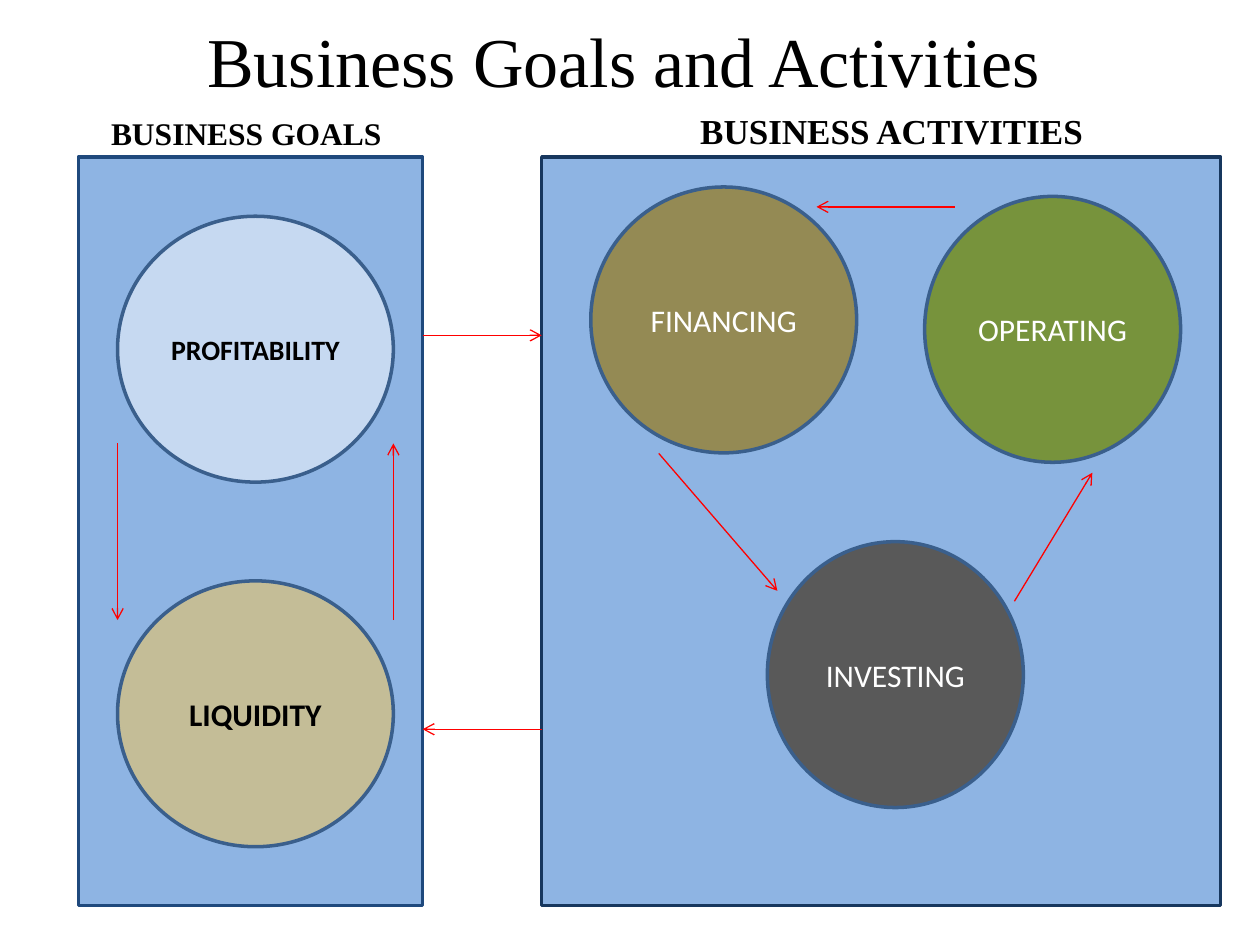
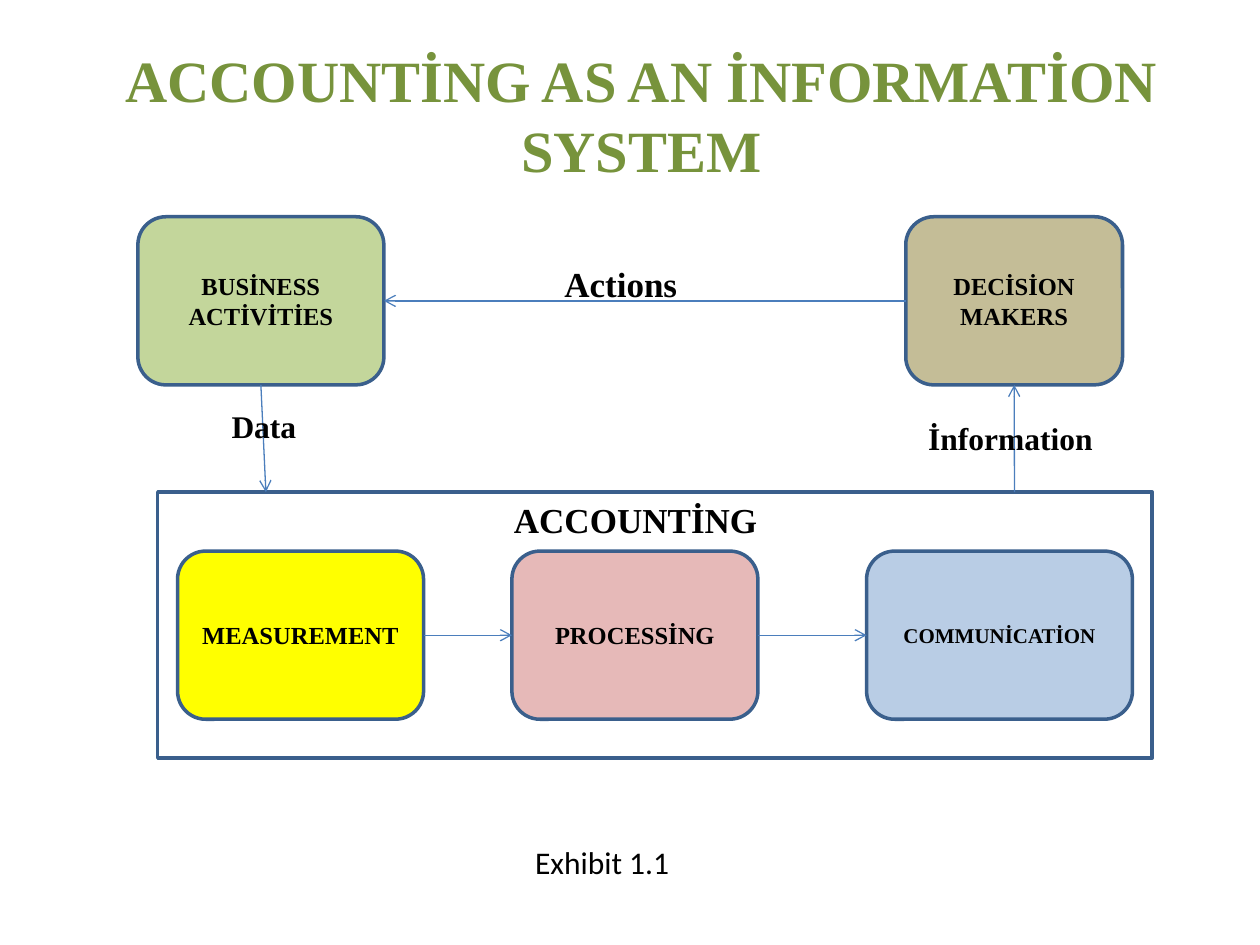
from lxml import etree
from pptx import Presentation
from pptx.dml.color import RGBColor
from pptx.enum.shapes import MSO_CONNECTOR, MSO_SHAPE
from pptx.enum.text import MSO_ANCHOR, PP_ALIGN
from pptx.oxml.ns import qn
from pptx.util import Cm, Pt

RECTANGLE = MSO_SHAPE.RECTANGLE
ROUNDED = MSO_SHAPE.ROUNDED_RECTANGLE
OVAL = MSO_SHAPE.OVAL
STRAIGHT = MSO_CONNECTOR.STRAIGHT
CENTER = PP_ALIGN.CENTER
TOP_ANCHOR, MIDDLE = MSO_ANCHOR.TOP, MSO_ANCHOR.MIDDLE
TOP, LEFT, BOTTOM, RIGHT = range(4)

SERIF, SANS = "Times New Roman", "Calibri"
BLACK = RGBColor(0x00, 0x00, 0x00)
WHITE = RGBColor(0xFF, 0xFF, 0xFF)
RED = RGBColor(0xFF, 0x00, 0x00)
YELLOW = RGBColor(0xFF, 0xFF, 0x00)
PANEL_BLUE = RGBColor(0x8E, 0xB4, 0xE3)
NAVY = RGBColor(0x1F, 0x49, 0x7D)
DARK_NAVY = RGBColor(0x17, 0x37, 0x5E)
OUTLINE = RGBColor(0x3A, 0x5F, 0x8C)
ARROW_BLUE = RGBColor(0x4B, 0x7E, 0xBC)
PALE_BLUE = RGBColor(0xC6, 0xD9, 0xF1)
SOFT_BLUE = RGBColor(0xB9, 0xCD, 0xE5)
TAN = RGBColor(0xC4, 0xBD, 0x97)
OLIVE = RGBColor(0x94, 0x8A, 0x54)
GREEN = RGBColor(0x77, 0x93, 0x3C)
PALE_GREEN = RGBColor(0xC3, 0xD6, 0x9B)
PINK = RGBColor(0xE6, 0xB9, 0xB8)
GRAY = RGBColor(0x59, 0x59, 0x59)


def write_text(frame, text, size=18, font=SERIF, color=BLACK, bold=True, anchor=MIDDLE):
    """Fill a text frame with one centred, formatted paragraph."""
    frame.vertical_anchor = anchor
    paragraph = frame.paragraphs[0]
    paragraph.alignment = CENTER
    run = paragraph.add_run()
    run.text = text
    run.font.size = Pt(size)
    run.font.name = font
    run.font.bold = bold
    run.font.color.rgb = color


def add_label(slide, box, text, wrap=True, anchor=TOP_ANCHOR, **text_format):
    """Place a text box at (left, top, width, height) in centimetres."""
    frame = slide.shapes.add_textbox(*map(Cm, box)).text_frame
    frame.word_wrap = wrap
    write_text(frame, text, anchor=anchor, **text_format)


def add_box(slide, kind, box, fill=None, line=OUTLINE, text=None, **text_format):
    """Draw an outlined shape, optionally filled and labelled."""
    shape = slide.shapes.add_shape(kind, *map(Cm, box))
    shape.shadow.inherit = False
    if fill is None:
        shape.fill.background()
    else:
        shape.fill.solid()
        shape.fill.fore_color.rgb = fill
    shape.line.color.rgb = line
    shape.line.width = Pt(2)
    if text:
        frame = shape.text_frame
        frame.word_wrap = True
        frame.margin_left = frame.margin_right = 0
        write_text(frame, text, **text_format)
    return shape


def add_arrow(slide, start=(0, 0), end=(0, 0), color=ARROW_BLUE, source=None, target=None):
    """Draw an arrow between points, or joined to (shape, side) pairs."""
    connector = slide.shapes.add_connector(STRAIGHT, *map(Cm, (*start, *end)))
    if source:
        connector.begin_connect(*source)
    if target:
        connector.end_connect(*target)
    connector.line.color.rgb = color
    connector.line.width = Pt(0.75)
    properties = connector._element.spPr
    line = properties.find(qn("a:ln"))
    etree.SubElement(line, qn("a:tailEnd"), type="arrow")
    etree.SubElement(properties, qn("a:effectLst"))


def add_panel(slide, box, line, circles, arrows):
    """Draw a blue panel whose circles and arrows are relative to its corner."""
    left, top = box[:2]
    add_box(slide, RECTANGLE, box, PANEL_BLUE, line)
    for text, x, y, width, fill, text_format in circles:
        circle_box = (left + x, top + y, width, 5.36)
        add_box(slide, OVAL, circle_box, fill, text=text, font=SANS, **text_format)
    for x1, y1, x2, y2 in arrows:
        add_arrow(slide, (left + x1, top + y1), (left + x2, top + y2), RED)


def add_goals(slide, left, top, height):
    """Draw the business goals panel with its heading."""
    circles = [
        ("PROFITABILITY", 0.79, 1.19, 5.56, PALE_BLUE, {"size": 16}),
        ("LIQUIDITY", 0.79, 8.54, 5.56, TAN, {}),
    ]
    arrows = [(0.79, 5.77, 0.79, 9.33), (6.35, 9.33, 6.35, 5.77)]
    add_panel(slide, (left, top, 6.94, height), NAVY, circles, arrows)
    add_label(slide, (left + 0.4, top - 0.99, 5.97, 1.02), "BUSINESS GOALS", wrap=False)


def add_activities(slide, left, top, height):
    """Draw the business activities panel with its heading."""
    plain = {"color": WHITE, "bold": False}
    circles = [
        ("FINANCING", 0.99, 0.6, 5.36, OLIVE, plain),
        ("OPERATING", 7.72, 0.79, 5.16, GREEN, plain),
        ("INVESTING", 4.55, 7.75, 5.16, GRAY, plain),
    ]
    arrows = [
        (2.36, 5.97, 4.75, 8.74),
        (9.53, 8.95, 11.1, 6.36),
        (8.33, 1, 5.54, 1),
    ]
    add_panel(slide, (left, top, 13.69, height), DARK_NAVY, circles, arrows)
    add_label(slide, (left + 2.57, top - 1.09, 8.97, 1.12), "BUSINESS ACTIVITIES", size=20)


def build_goals_slide(slide):
    """Show goals and activities feeding each other."""
    top, height = 3.17, 15.09
    goals_right, activities_left = 8.52, 10.92
    add_goals(slide, 1.58, top, height)
    add_activities(slide, activities_left, top, height)
    add_arrow(slide, (goals_right, 6.76), (activities_left, 6.76), RED)
    add_arrow(slide, (activities_left, 14.7), (goals_right, 14.7), RED)
    add_label(slide, (2.25, 0.23, 20.66, 1.96), "Business Goals and Activities", size=40, bold=False)


def add_accounting(slide, left, top):
    """Draw the accounting frame with its three linked steps."""
    add_box(slide, RECTANGLE, (left, top, 20.05, 5.36))
    add_label(slide, (left + 6.93, top, 5.41, 1.12), "ACCOUNTİNG", wrap=False, size=20)
    steps = [
        ("MEASUREMENT", 0.4, 4.96, YELLOW, 14),
        ("PROCESSİNG", 7.14, 4.96, PINK, 14),
        ("COMMUNİCATİON", 14.29, 5.36, SOFT_BLUE, 12),
    ]
    shapes = [
        add_box(slide, ROUNDED, (left + x, top + 1.19, width, 3.39), fill, text=text, size=size)
        for text, x, width, fill, size in steps
    ]
    for before, after in zip(shapes, shapes[1:]):
        add_arrow(slide, source=(before, RIGHT), target=(after, LEFT))


def build_system_slide(slide):
    """Show accounting between business activities and decision makers."""
    frame_top = 9.92
    activities = add_box(slide, ROUNDED, (2.78, 4.37, 4.96, 3.39), PALE_GREEN,
                         text="BUSİNESS ACTİVİTİES", size=14)
    makers = add_box(slide, ROUNDED, (18.26, 4.37, 4.37, 3.39), TAN,
                     text="DECİSİON MAKERS", size=14)
    add_accounting(slide, 3.18, frame_top)
    add_arrow(slide, source=(makers, LEFT), target=(activities, RIGHT))
    add_arrow(slide, start=(20.45, frame_top), target=(makers, BOTTOM))
    add_arrow(slide, end=(5.36, frame_top), source=(activities, BOTTOM))
    add_label(slide, (10.9, 5.16, 3.23, 1.12), "Actions", size=20)
    add_label(slide, (3.76, 8.08, 3.12, 0.91), "Data", wrap=False)
    add_label(slide, (18.45, 8.33, 3.84, 1.02), "İnformation", wrap=False)
    add_label(slide, (10.45, 16.87, 3.38, 1.02), "Exhibit 1.1", font=SANS, bold=False)
    add_label(slide, (1.5, 0.71, 22.86, 3.18), "ACCOUNTİNG AS AN İNFORMATİON SYSTEM",
              anchor=MIDDLE, size=33.4, color=GREEN)


def main():
    """Build and save the presentation."""
    presentation = Presentation()
    presentation.slide_width, presentation.slide_height = Cm(25.4), Cm(19.05)
    blank = presentation.slide_layouts[6]
    for build in (build_goals_slide, build_system_slide):
        build(presentation.slides.add_slide(blank))
    presentation.save("out.pptx")


if __name__ == "__main__":
    main()
